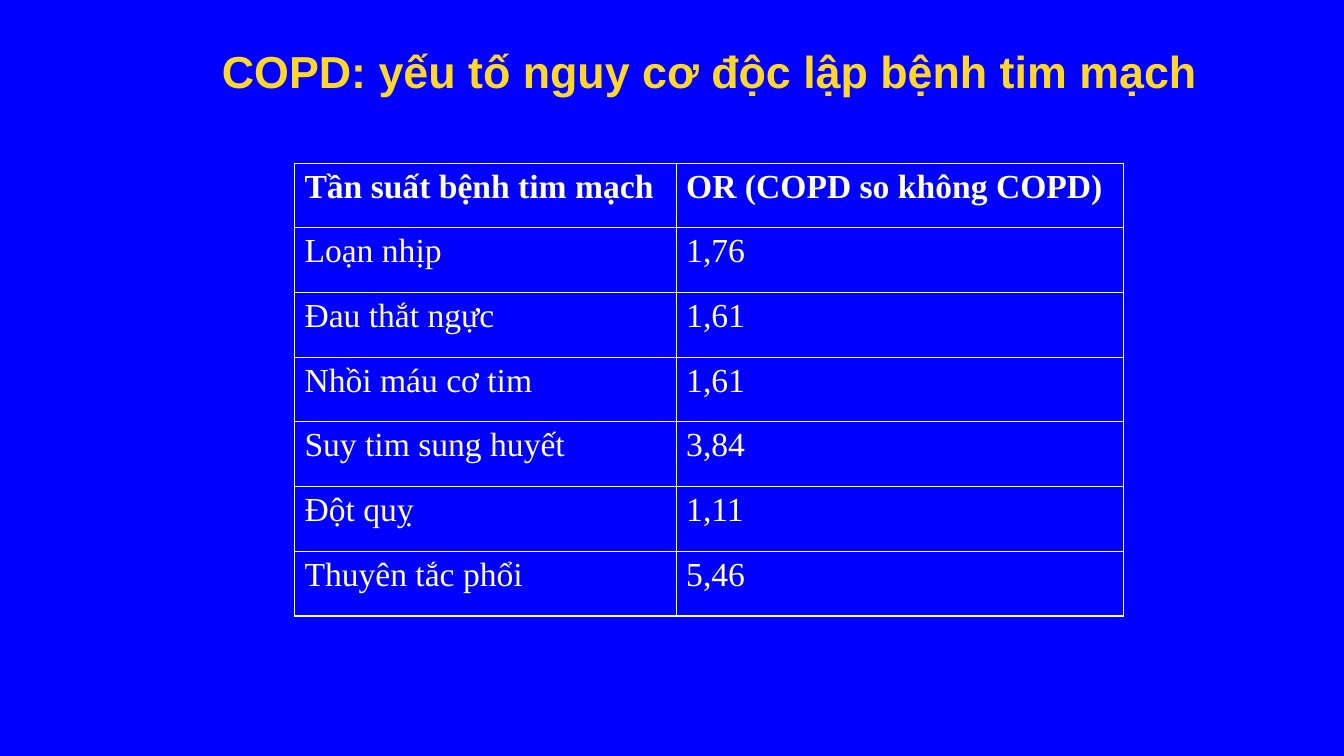
from dataclasses import dataclass
from typing import NamedTuple

from lxml.etree import SubElement
from pptx import Presentation
from pptx.dml.color import RGBColor
from pptx.enum.text import MSO_ANCHOR as Anchor, MSO_AUTO_SIZE as AutoSize, PP_ALIGN as Align
from pptx.oxml.ns import qn
from pptx.slide import Slide
from pptx.table import _Cell as Cell
from pptx.text.text import _Paragraph as Paragraph
from pptx.util import Cm, Pt


@dataclass(frozen=True)
class Theme:
    background: str = "0000FF"
    title: str = "FFD728"
    text: str = "FFFFFF"
    title_font: str = "Arial"
    body_font: str = "Times New Roman"
    title_size: int = 32
    body_size: int = 24
    border_width: int = 1


class Row(NamedTuple):
    label: str
    odds_ratio: str
    bold: bool = False


THEME = Theme()
TITLE = "COPD: yếu tố nguy cơ độc lập bệnh tim mạch"
ROWS = [
    Row("Tần suất bệnh tim mạch", "OR (COPD so không COPD)", bold=True),
    Row("Loạn nhịp", "1,76"),
    Row("Đau thắt ngực", "1,61"),
    Row("Nhồi máu cơ tim", "1,61"),
    Row("Suy tim sung huyết", "3,84"),
    Row("Đột quỵ", "1,11"),
    Row("Thuyên tắc phổi", "5,46"),
]
COLUMN_WIDTHS = (Cm(9.62), Cm(11.28))
ROW_HEIGHT = Cm(1.63)
INDENT = Cm(0.95)


def set_font(p: Paragraph, name: str, size: int, color: str, bold: bool) -> None:
    p.font.name = name
    p.font.size = Pt(size)
    p.font.bold = bold
    p.font.color.rgb = RGBColor.from_string(color)


def add_borders(cell: Cell) -> None:
    tc_pr = cell._tc.get_or_add_tcPr()
    for side in ("lnL", "lnR", "lnT", "lnB"):
        line = SubElement(tc_pr, qn(f"a:{side}"), w=str(Pt(THEME.border_width)))
        fill = SubElement(line, qn("a:solidFill"))
        SubElement(fill, qn("a:srgbClr"), val=THEME.text)


def fill_cell(cell: Cell, text: str, bold: bool) -> None:
    add_borders(cell)
    cell.fill.background()
    cell.vertical_anchor = Anchor.TOP
    p = cell.text_frame.paragraphs[0]
    p.text = text
    p.alignment = Align.JUSTIFY
    p_pr = p._p.get_or_add_pPr()
    p_pr.set("marL", str(INDENT))
    p_pr.set("indent", str(-INDENT))
    set_font(p, THEME.body_font, THEME.body_size, THEME.text, bold)


def add_title(s: Slide) -> None:
    sp = s.shapes.title
    sp.left, sp.top, sp.width, sp.height = Cm(5.08), Cm(0.84), Cm(27.08), Cm(3.18)
    tf = sp.text_frame
    tf.word_wrap = True
    tf.auto_size = AutoSize.NONE
    tf.vertical_anchor = Anchor.TOP
    tf.margin_left = tf.margin_right = Cm(0.51)
    tf.margin_top = tf.margin_bottom = Cm(0.25)
    p = tf.paragraphs[0]
    p.text = TITLE
    p.alignment = Align.LEFT
    set_font(p, THEME.title_font, THEME.title_size, THEME.title, True)


def add_risk_table(s: Slide) -> None:
    table = s.shapes.add_table(
        len(ROWS), len(COLUMN_WIDTHS), Cm(7.42), Cm(4.11),
        sum(COLUMN_WIDTHS), ROW_HEIGHT * len(ROWS),
    ).table
    table.first_row = table.horz_banding = False
    for column, width in zip(table.columns, COLUMN_WIDTHS):
        column.width = width
    for table_row, row in zip(table.rows, ROWS):
        table_row.height = ROW_HEIGHT
        for cell, text in zip(table_row.cells, (row.label, row.odds_ratio)):
            fill_cell(cell, text, row.bold)


def main() -> None:
    prs = Presentation()
    prs.slide_width, prs.slide_height = Cm(33.87), Cm(19.05)
    s = prs.slides.add_slide(prs.slide_layouts.get_by_name("Title Only"))
    s.background.fill.solid()
    s.background.fill.fore_color.rgb = RGBColor.from_string(THEME.background)
    add_title(s)
    add_risk_table(s)
    prs.save("out.pptx")


if __name__ == "__main__":
    main()
